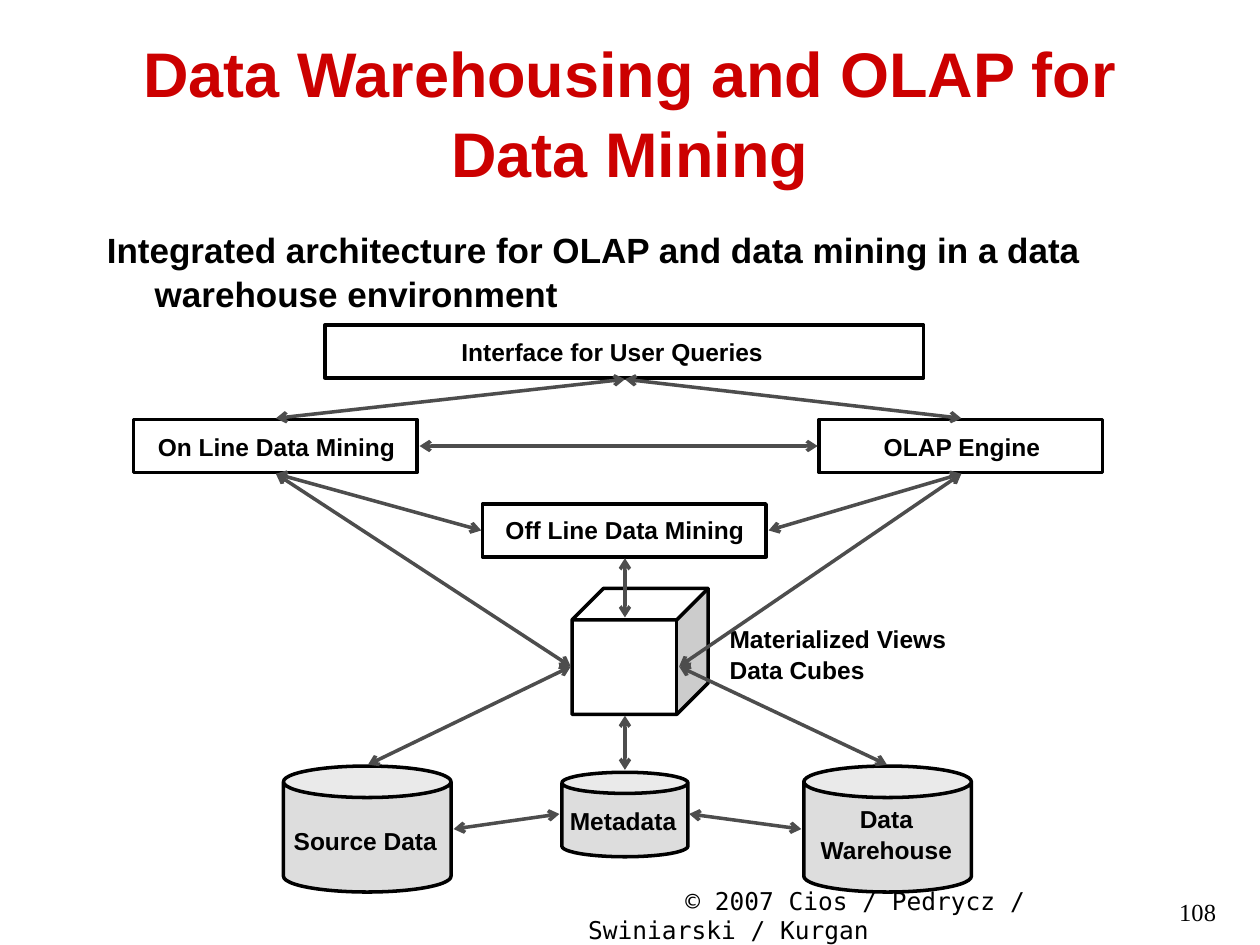
"""Build the slide on an integrated OLAP and data mining architecture."""
import pptx
import pptx.dml.color
import pptx.enum.shapes
import pptx.enum.text
import pptx.oxml.ns
import pptx.util
from lxml import etree

Inches = pptx.util.Inches
Pt = pptx.util.Pt
RGBColor = pptx.dml.color.RGBColor
MSO_SHAPE = pptx.enum.shapes.MSO_SHAPE
MSO_ANCHOR = pptx.enum.text.MSO_ANCHOR
PP_ALIGN = pptx.enum.text.PP_ALIGN
qn = pptx.oxml.ns.qn

RED = RGBColor(0xCC, 0x00, 0x00)
BLACK = RGBColor(0x00, 0x00, 0x00)
WHITE = RGBColor(0xFF, 0xFF, 0xFF)
STORE_GRAY = RGBColor(0xDD, 0xDD, 0xDD)
ARROW_GRAY = RGBColor(0x4D, 0x4D, 0x4D)

BOX_H = 0.42
TOOL_W = 2.25
STORE_SIZE = (1.33, 1)
LINE_H = 0.235

BOXES = [
    (3.83, 4, TOOL_W),
    (1.06, 3.33, TOOL_W),
    (6.5, 3.33, TOOL_W),
    (2.58, 2.58, 4.75),
]

LABELS = [
    ("Source Data", 2.33, 6.55, 1.14),
    ("Data\vWarehouse", 6.51, 6.38, 1.05),
    ("Metadata", 4.52, 6.39, 0.85),
    ("Off Line Data Mining", 4.01, 4.08, 1.9),
    ("On Line Data Mining", 1.25, 3.42, 1.89),
    ("OLAP Engine", 7.01, 3.42, 1.25),
    ("Interface for User Queries", 3.66, 2.67, 2.4),
]

QUERIES_BOTTOM = (4.96, 3.01)
MINING_TOP, MINING_RIGHT, MINING_BOTTOM = (2.19, 3.32), (3.33, 3.54), (2.19, 3.76)
OLAP_TOP, OLAP_LEFT, OLAP_BOTTOM = (7.63, 3.32), (6.49, 3.54), (7.63, 3.76)
OFFLINE_LEFT, OFFLINE_RIGHT, OFFLINE_BOTTOM = (3.82, 4.21), (6.1, 4.21), (4.96, 4.43)
CUBE_LEFT, CUBE_RIGHT = (4.53, 5.29), (5.39, 5.29)
CUBE_TOP, CUBE_BOTTOM = (4.96, 4.9), (4.96, 5.68)
SOURCE_TOP, SOURCE_RIGHT = (2.92, 6.07), (3.6, 6.58)
WAREHOUSE_TOP, WAREHOUSE_LEFT = (7.04, 6.07), (6.36, 6.58)
METADATA_TOP, METADATA_LEFT, METADATA_RIGHT = (4.96, 6.11), (4.44, 6.46), (5.47, 6.46)

FLOWS = [
    (QUERIES_BOTTOM, MINING_TOP),
    (QUERIES_BOTTOM, OLAP_TOP),
    (OLAP_LEFT, MINING_RIGHT),
    (OFFLINE_LEFT, MINING_BOTTOM),
    (OLAP_BOTTOM, OFFLINE_RIGHT),
    (CUBE_LEFT, MINING_BOTTOM),
    (OLAP_BOTTOM, CUBE_RIGHT),
    (OFFLINE_BOTTOM, CUBE_TOP),
    (CUBE_LEFT, SOURCE_TOP),
    (WAREHOUSE_TOP, CUBE_RIGHT),
    (CUBE_BOTTOM, METADATA_TOP),
    (METADATA_LEFT, SOURCE_RIGHT),
    (WAREHOUSE_LEFT, METADATA_RIGHT),
]


def add_text(s, paragraphs, x, y, w, h, size, align=PP_ALIGN.LEFT, color=BLACK,
             font="Arial", bold=True, spacing=1.05, margin=(0.1, 0.05),
             anchor=MSO_ANCHOR.TOP, wrap=True, indent=(0, 0)):
    sp = s.shapes.add_textbox(Inches(x), Inches(y), Inches(w), Inches(h))
    tf = sp.text_frame
    tf.word_wrap = wrap
    tf.vertical_anchor = anchor
    tf.margin_left = tf.margin_right = Inches(margin[0])
    tf.margin_top = tf.margin_bottom = Inches(margin[1])
    for i, text in enumerate(paragraphs):
        p = tf.add_paragraph() if i else tf.paragraphs[0]
        p.alignment = align
        p.line_spacing = spacing
        pPr = p._p.get_or_add_pPr()
        pPr.set("marL", str(Inches(indent[0])))
        pPr.set("indent", str(Inches(indent[1])))
        for j, part in enumerate(text.split("\v")):
            if j:
                p.add_line_break()
            r = p.add_run()
            r.text = part
            r.font.name = font
            r.font.size = Pt(size)
            r.font.bold = bold
            r.font.color.rgb = color


def add_label(s, paragraphs, x, y, w, lines, align=PP_ALIGN.CENTER):
    add_text(s, paragraphs, x, y, w, lines * LINE_H, 14, align=align,
             margin=(0, 0), anchor=MSO_ANCHOR.MIDDLE, wrap=False)


def add_node(s, kind, x, y, w, h, fill=None):
    sp = s.shapes.add_shape(kind, Inches(x), Inches(y), Inches(w), Inches(h))
    sp.shadow.inherit = False
    if fill is None:
        sp.fill.background()
    else:
        sp.fill.solid()
        sp.fill.fore_color.rgb = fill
    sp.line.color.rgb = BLACK
    sp.line.width = Pt(2)


def add_flow(s, start, end):
    points = [Inches(v) for v in start + end]
    c = s.shapes.add_connector(pptx.enum.shapes.MSO_CONNECTOR.STRAIGHT, *points)
    c.line.color.rgb = ARROW_GRAY
    c.line.width = Pt(2)
    ln = c.line._get_or_add_ln()
    for tag in ("a:headEnd", "a:tailEnd"):
        etree.SubElement(ln, qn(tag), type="arrow")
    etree.SubElement(c._element.spPr, qn("a:effectLst"))


def main():
    prs = pptx.Presentation()
    prs.slide_width, prs.slide_height = Inches(10), Inches(7.5)
    s = prs.slides.add_slide(prs.slide_layouts[6])

    add_text(s, ["© 2007 Cios / Pedrycz / Swiniarski / Kurgan"], 2.58, 6.98, 6.42, 0.52,
             14, font="DejaVu Sans Mono", bold=False, spacing=1.0, indent=(1.99, 0.77))
    add_text(s, ["Data Warehousing and OLAP for Data Mining"], 0.75, 0.25, 8.5, 1.25,
             36, align=PP_ALIGN.CENTER, color=RED, anchor=MSO_ANCHOR.MIDDLE)
    add_text(s, ["Integrated architecture for OLAP and data mining in a data "
                 "warehouse environment"], 0.75, 1.75, 9, 0.92, 20, indent=(0.38, -0.38))

    for x in (2.25, 6.38):
        add_node(s, MSO_SHAPE.CAN, x, 6.08, *STORE_SIZE, fill=STORE_GRAY)
    add_node(s, MSO_SHAPE.CAN, 4.46, 6.13, 1, 0.67, fill=STORE_GRAY)
    add_node(s, MSO_SHAPE.CUBE, 4.54, 4.67, 1.08, 1, fill=WHITE)
    for x, y, w in BOXES:
        add_node(s, MSO_SHAPE.RECTANGLE, x, y, w, BOX_H)

    for text, x, y, w in LABELS:
        add_label(s, [text], x, y, w, text.count("\v") + 1)
    add_label(s, ["Materialized Views", "Data Cubes"], 5.79, 4.95, 1.72, 2,
              align=PP_ALIGN.LEFT)

    for start, end in FLOWS:
        add_flow(s, start, end)

    add_text(s, ["108"], 8.08, 7.07, 1.67, 0.5, 14, align=PP_ALIGN.RIGHT,
             font="Times New Roman", bold=False, spacing=1.0)
    prs.save("out.pptx")


if __name__ == "__main__":
    main()
